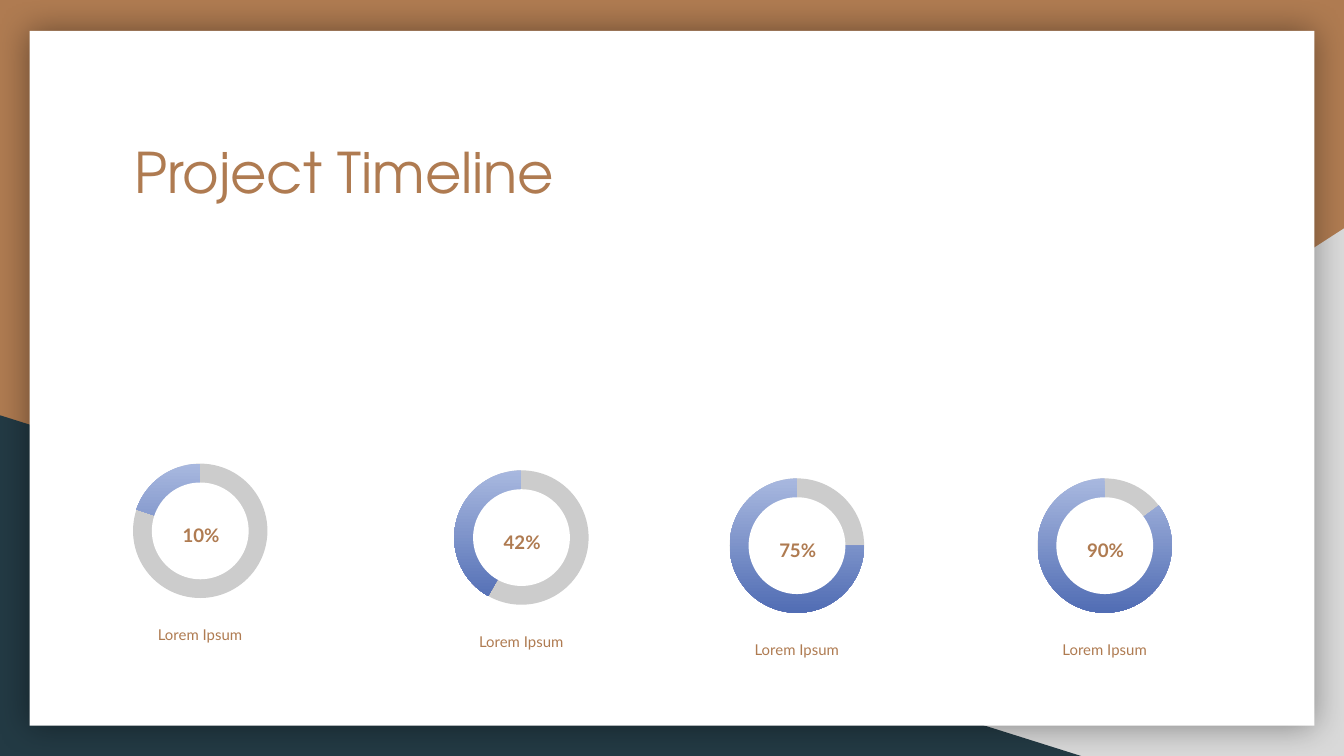
from dataclasses import dataclass

from lxml import etree
from pptx import Presentation
from pptx.dml.color import RGBColor
from pptx.enum import shapes, text
from pptx.oxml import ns
from pptx.util import Inches, Pt

COPPER = RGBColor(0xAF, 0x7B, 0x51)
PALE_GRAY = RGBColor(0xD9, 0xD9, 0xD9)
RING_GRAY = RGBColor(0xCC, 0xCC, 0xCC)
NAVY = RGBColor(0x23, 0x3A, 0x44)
WHITE = RGBColor(0xFF, 0xFF, 0xFF)
LIGHT_BLUE = RGBColor(0xA8, 0xB8, 0xDF)
BLUE = RGBColor(0x51, 0x6D, 0xB4)

SHAPE = shapes.MSO_SHAPE
TOP_ANGLE = 270  # pie angles run clockwise from the right


@dataclass
class Ring:
    center_x: float
    center_y: float
    percent: str
    start_angle: float


RINGS = [
    Ring(1.49, 3.95, "10%", 198.54),
    Ring(3.88, 4.0, "42%", 119.7),
    Ring(5.93, 4.06, "75%", 0),
    Ring(8.22, 4.06, "90%", 323.51),
]


def add_shape(slide, kind, left: float, top: float, width: float, height: float,
              color: RGBColor):
    shape = slide.shapes.add_shape(
        kind, Inches(left), Inches(top), Inches(width), Inches(height))
    shape.shadow.inherit = False
    shape.fill.solid()
    shape.fill.fore_color.rgb = color
    shape.line.fill.background()
    return shape


def add_circle(slide, ring: Ring, size: float, color: RGBColor, kind=SHAPE.OVAL):
    return add_shape(slide, kind, ring.center_x - size / 2,
                     ring.center_y - size / 2, size, size, color)


def add_text(slide, content: str, left: float, top: float, width: float, height: float,
             *, size: float, font: str = "Lato", bold: bool = False,
             align=text.PP_ALIGN.CENTER, line_spacing: float = 1.0,
             space_after: float = 0) -> None:
    box = slide.shapes.add_textbox(
        Inches(left), Inches(top), Inches(width), Inches(height))
    frame = box.text_frame
    frame.word_wrap = True
    frame.vertical_anchor = text.MSO_ANCHOR.TOP
    frame.margin_left = frame.margin_right = Inches(0.1)
    frame.margin_top = frame.margin_bottom = Inches(0.1)
    paragraph = frame.paragraphs[0]
    paragraph.alignment = align
    paragraph.line_spacing = line_spacing
    paragraph.space_after = Pt(space_after)
    run = paragraph.add_run()
    run.text = content
    run.font.name = font
    run.font.size = Pt(size)
    run.font.bold = bold
    run.font.color.rgb = COPPER


def add_glow_shadow(shape, blur: float, opacity: int) -> None:
    effects = shape._element.spPr.find(ns.qn("a:effectLst"))
    shadow = etree.SubElement(effects, ns.qn("a:outerShdw"), blurRad=str(Pt(blur)),
                              dist="0", algn="ctr", rotWithShape="0")
    color = etree.SubElement(shadow, ns.qn("a:srgbClr"), val="000000")
    etree.SubElement(color, ns.qn("a:alpha"), val=str(opacity * 1000))


def add_ring(slide, ring: Ring) -> None:
    add_circle(slide, ring, 1.11, WHITE)
    add_circle(slide, ring, 1, RING_GRAY)

    # Progress wedge, ending at the top of the ring
    wedge = add_circle(slide, ring, 1, BLUE, SHAPE.PIE)
    for index, angle in enumerate((ring.start_angle, TOP_ANGLE)):
        wedge.adjustments[index] = angle * 0.6
    wedge.fill.gradient()
    wedge.fill.gradient_angle = 270
    for stop, color in zip(wedge.fill.gradient_stops, (LIGHT_BLUE, BLUE)):
        stop.color.rgb = color

    add_circle(slide, ring, 0.72, WHITE)
    add_text(slide, "Lorem Ipsum", ring.center_x - 0.58, ring.center_y + 0.64,
             1.16, 0.48, size=8, space_after=16)
    add_text(slide, ring.percent, ring.center_x - 0.25, ring.center_y - 0.17,
             0.51, 0.3, size=10, bold=True, line_spacing=1.15)


def main() -> None:
    presentation = Presentation()
    presentation.slide_width = Inches(10)
    presentation.slide_height = Inches(5.625)
    slide = presentation.slides.add_slide(presentation.slide_layouts[6])

    # Background with corner triangles and the white card
    slide.background.fill.solid()
    slide.background.fill.fore_color.rgb = COPPER
    corner = add_shape(slide, SHAPE.RIGHT_TRIANGLE, 3.92, 1.7, 6.08, 3.93, PALE_GRAY)
    corner._element.spPr.find(ns.qn("a:xfrm")).set("flipH", "1")
    add_shape(slide, SHAPE.RIGHT_TRIANGLE, 0, 3.09, 8.06, 2.54, NAVY)
    card = add_shape(slide, SHAPE.RECTANGLE, 0.22, 0.23, 9.56, 5.17, WHITE)
    add_glow_shadow(card, blur=18, opacity=40)

    # Title
    add_text(slide, "Project Timeline", 0.9, 0.92, 4.06, 1.51, size=30,
             font="TeX Gyre Adventor", align=text.PP_ALIGN.LEFT)

    # Progress rings
    for ring in RINGS:
        add_ring(slide, ring)

    presentation.save("out.pptx")


if __name__ == "__main__":
    main()
